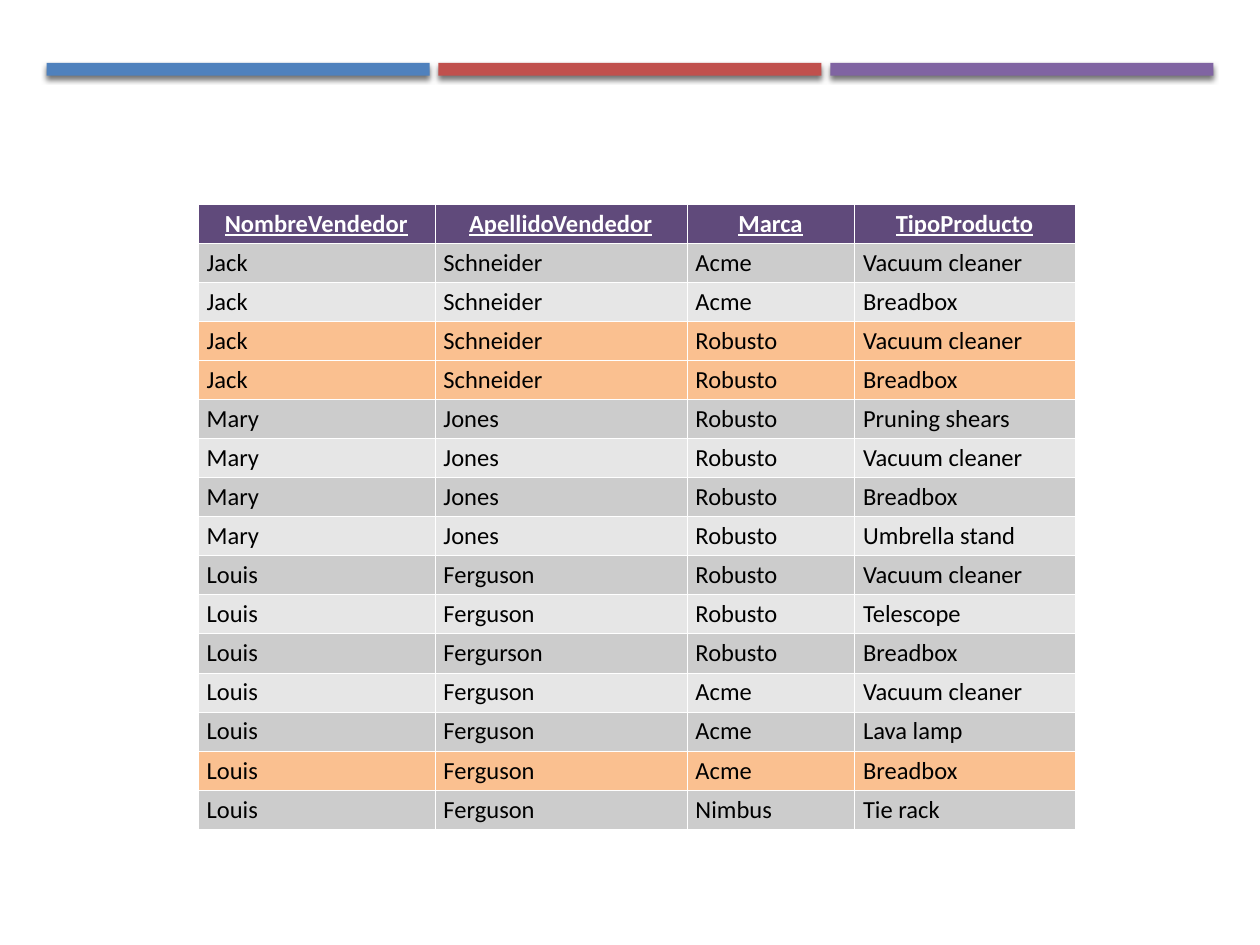
from lxml import etree
from pptx import Presentation
from pptx.dml.color import RGBColor
from pptx.enum.shapes import MSO_SHAPE
from pptx.enum.text import PP_ALIGN
from pptx.oxml import parse_xml
from pptx.oxml.ns import nsdecls, qn
from pptx.util import Inches, Pt

RECTANGLE = MSO_SHAPE.RECTANGLE
CENTER = PP_ALIGN.CENTER
LEFT = PP_ALIGN.LEFT

BLUE = RGBColor(0x4F, 0x81, 0xBD)
RED = RGBColor(0xC0, 0x50, 0x4D)
PURPLE = RGBColor(0x80, 0x64, 0xA2)
DARK_PURPLE = RGBColor(0x60, 0x4A, 0x7B)
GRAY = RGBColor(0xCC, 0xCC, 0xCC)
LIGHT_GRAY = RGBColor(0xE6, 0xE6, 0xE6)
ORANGE = RGBColor(0xFA, 0xC0, 0x90)
BLACK = RGBColor(0, 0, 0)
WHITE = RGBColor(0xFF, 0xFF, 0xFF)

HEADERS = ("NombreVendedor", "ApellidoVendedor", "Marca", "TipoProducto")
PRODUCTS = [
    ("Jack", "Schneider", "Acme", "Vacuum cleaner"),
    ("Jack", "Schneider", "Acme", "Breadbox"),
    ("Jack", "Schneider", "Robusto", "Vacuum cleaner"),
    ("Jack", "Schneider", "Robusto", "Breadbox"),
    ("Mary", "Jones", "Robusto", "Pruning shears"),
    ("Mary", "Jones", "Robusto", "Vacuum cleaner"),
    ("Mary", "Jones", "Robusto", "Breadbox"),
    ("Mary", "Jones", "Robusto", "Umbrella stand"),
    ("Louis", "Ferguson", "Robusto", "Vacuum cleaner"),
    ("Louis", "Ferguson", "Robusto", "Telescope"),
    ("Louis", "Fergurson", "Robusto", "Breadbox"),
    ("Louis", "Ferguson", "Acme", "Vacuum cleaner"),
    ("Louis", "Ferguson", "Acme", "Lava lamp"),
    ("Louis", "Ferguson", "Acme", "Breadbox"),
    ("Louis", "Ferguson", "Nimbus", "Tie rack"),
]
HIGHLIGHTED_ROWS = {3, 4, 14}
COLUMN_WIDTHS = (1.88, 2, 1.33, 1.75)
ROW_HEIGHT = 0.31


class SlideBuilder:
    font_name = "Calibri"
    font_size = Pt(14)
    border_width = Pt(0.06)

    def __init__(self, slide):
        self.slide = slide

    def bar(self, left, top, width, height, color):
        shape = self.slide.shapes.add_shape(
            RECTANGLE, Inches(left), Inches(top), Inches(width), Inches(height))
        shape.fill.solid()
        shape.fill.fore_color.rgb = color
        shape.line.fill.background()
        shape.shadow.inherit = False
        effects = shape.element.spPr.find(qn("a:effectLst"))
        effects.append(parse_xml(
            f'<a:outerShdw {nsdecls("a")} blurRad="{Pt(3)}" dist="{Pt(2)}" '
            'dir="5400000" rotWithShape="0"><a:srgbClr val="000000">'
            '<a:alpha val="55000"/></a:srgbClr></a:outerShdw>'))

    def table(self, left, top, column_widths, row_height, rows, highlighted):
        frame = self.slide.shapes.add_table(
            len(rows), len(column_widths), Inches(left), Inches(top),
            Inches(sum(column_widths)), Inches(row_height * len(rows)))
        table = frame.table
        table.horz_banding = False
        for column, width in zip(table.columns, column_widths):
            column.width = Inches(width)
        for index, values in enumerate(rows):
            table.rows[index].height = Inches(row_height)
            if index == 0:
                fill = DARK_PURPLE
            elif index in highlighted:
                fill = ORANGE
            else:
                fill = GRAY if index % 2 else LIGHT_GRAY
            for cell, text in zip(table.rows[index].cells, values):
                self.cell(cell, text, fill, index == 0)

    def cell(self, cell, text, fill, is_header):
        cell.margin_left = cell.margin_right = Inches(0.07)
        cell.margin_top = Inches(0.04)
        cell.margin_bottom = Inches(0.03)
        self.borders(cell)
        cell.fill.solid()
        cell.fill.fore_color.rgb = fill
        cell.text_frame.text = text
        paragraph = cell.text_frame.paragraphs[0]
        paragraph.alignment = CENTER if is_header else LEFT
        font = paragraph.runs[0].font
        font.name = self.font_name
        font.size = self.font_size
        font.bold = is_header
        font.underline = is_header
        font.color.rgb = WHITE if is_header else BLACK

    def borders(self, cell):
        properties = cell._tc.get_or_add_tcPr()
        for side in ("a:lnL", "a:lnR", "a:lnT", "a:lnB"):
            line = etree.SubElement(properties, qn(side), w=str(self.border_width))
            fill = etree.SubElement(line, qn("a:solidFill"))
            etree.SubElement(fill, qn("a:srgbClr"), val=str(WHITE))


presentation = Presentation()
presentation.slide_width = Inches(10)
presentation.slide_height = Inches(7.5)
slide = presentation.slides.add_slide(presentation.slide_layouts[6])
builder = SlideBuilder(slide)

for index, color in enumerate((BLUE, RED, PURPLE)):
    builder.bar(0.37 + index * 3.11, 0.5, 3.04, 0.1, color)
builder.table(1.57, 1.62, COLUMN_WIDTHS, ROW_HEIGHT,
              [HEADERS, *PRODUCTS], HIGHLIGHTED_ROWS)

presentation.save("out.pptx")
